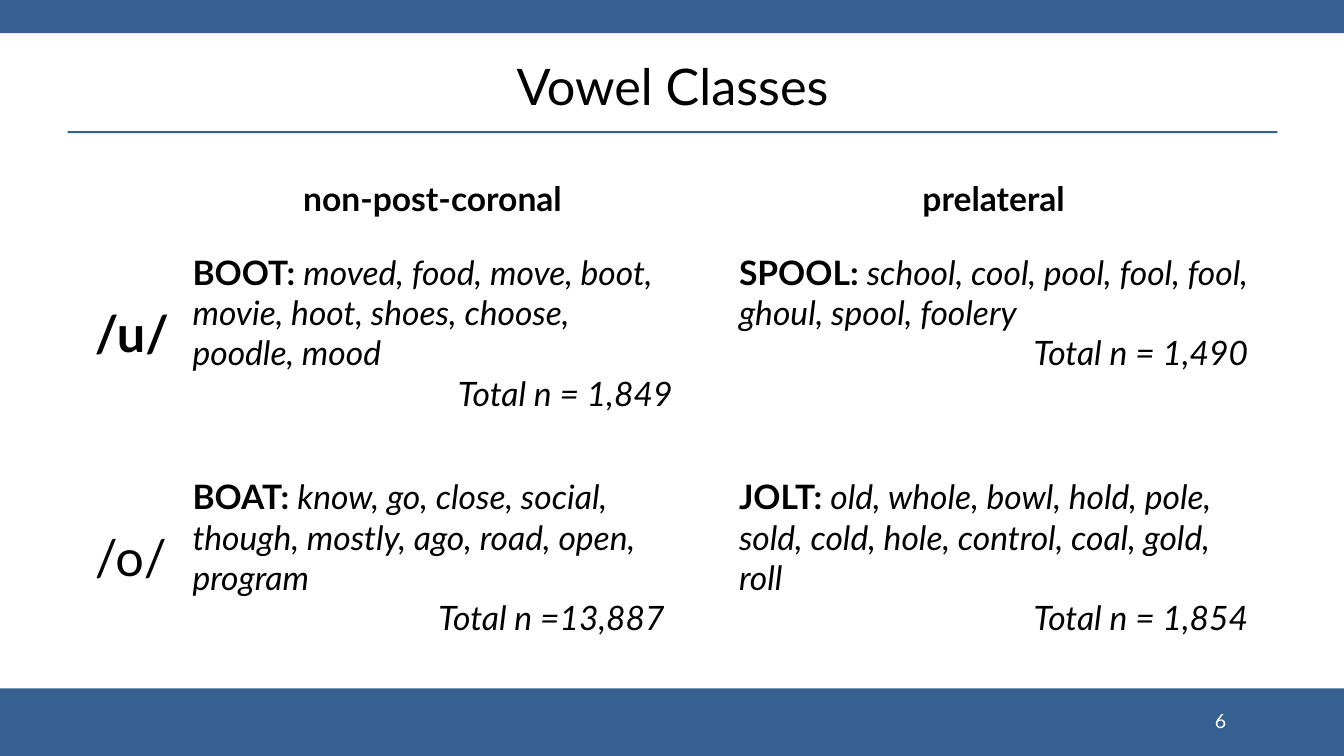
from dataclasses import dataclass

from pptx import Presentation
from pptx.dml.color import RGBColor
from pptx.enum.shapes import MSO_SHAPE as Shape
from pptx.enum.text import MSO_ANCHOR as Anchor, PP_ALIGN as Align
from pptx.util import Inches, Pt

BLUE = RGBColor(0x37, 0x60, 0x92)
BLACK = RGBColor(0, 0, 0)
WHITE = RGBColor(0xFF, 0xFF, 0xFF)
FONT = "Lato"


@dataclass(frozen=True)
class Band:
    left: float
    top: float
    width: float
    height: float


@dataclass(frozen=True)
class VowelClass:
    row: int
    column: int
    name: str
    words: str
    total: str


BANDS = [
    Band(0, 6.83, 13.33, 0.67),
    Band(0, 0, 13.33, 0.33),
    Band(0.67, 1.3, 12, 0.02),
]
COLUMN_WIDTHS = [0.97, 4.96, 0.46, 5.25]
ROW_HEIGHTS = [0.96, 1.34, 0.53, 1.33]
HEADINGS = {1: "non-post-coronal", 3: "prelateral"}
VOWELS = {1: "/u/", 3: "/o/"}
CLASSES = [
    VowelClass(1, 1, "BOOT: ",
               "moved, food, move, boot, movie, hoot, shoes, choose, poodle, mood",
               "Total n = 1,849"),
    VowelClass(1, 3, "SPOOL: ",
               "school, cool, pool, fool, fool, ghoul, spool, foolery",
               "Total n = 1,490"),
    VowelClass(3, 1, "BOAT: ",
               "know, go, close, social, though, mostly, ago, road, open, program",
               "Total n =13,887 "),
    VowelClass(3, 3, "JOLT: ",
               "old, whole, bowl, hold, pole, sold, cold, hole, control, coal, gold, roll",
               "Total n = 1,854"),
]


def add_text(para, text: str, *, size: float = 24, color: RGBColor = BLACK,
             bold: bool = False, italic: bool = False, align=Align.LEFT) -> None:
    para.alignment = align
    span = para.add_run()
    span.text = text
    font = span.font
    font.name, font.size, font.bold, font.italic = FONT, Pt(size), bold, italic
    font.color.rgb = color


def add_band(page, band: Band) -> None:
    box = page.shapes.add_shape(
        Shape.RECTANGLE, Inches(band.left), Inches(band.top),
        Inches(band.width), Inches(band.height))
    box.shadow.inherit = False
    box.fill.solid()
    box.fill.fore_color.rgb = BLUE
    box.line.fill.background()


def add_title(page, text: str) -> None:
    title = page.shapes.title
    title.left, title.top = Inches(0.67), Inches(0.4)
    title.width, title.height = Inches(12), Inches(0.9)
    title.text_frame.vertical_anchor = Anchor.MIDDLE
    add_text(title.text_frame.paragraphs[0], text, size=36, align=Align.CENTER)


def add_page_number(page, number: str) -> None:
    box = page.shapes.add_textbox(
        Inches(11.95), Inches(6.95), Inches(0.71), Inches(0.4))
    box.text_frame.word_wrap = True
    box.text_frame.vertical_anchor = Anchor.MIDDLE
    add_text(box.text_frame.paragraphs[0], number, size=14, color=WHITE)


def add_vowel_table(page) -> None:
    table = page.shapes.add_table(
        len(ROW_HEIGHTS), len(COLUMN_WIDTHS), Inches(0.84), Inches(1.49),
        Inches(sum(COLUMN_WIDTHS)), Inches(sum(ROW_HEIGHTS))).table
    table.first_row = table.horz_banding = False
    for column, width in zip(table.columns, COLUMN_WIDTHS):
        column.width = Inches(width)
    for row, height in zip(table.rows, ROW_HEIGHTS):
        row.height = Inches(height)
    for cell in table.iter_cells():
        cell.fill.background()

    for column, heading in HEADINGS.items():
        cell = table.cell(0, column)
        cell.vertical_anchor = Anchor.MIDDLE
        add_text(cell.text_frame.paragraphs[0], heading, bold=True, align=Align.CENTER)
    for row, vowel in VOWELS.items():
        cell = table.cell(row, 0)
        cell.vertical_anchor = Anchor.MIDDLE
        add_text(cell.text_frame.paragraphs[0], vowel, size=36, bold=vowel == "/u/")
    for group in CLASSES:
        frame = table.cell(group.row, group.column).text_frame
        para = frame.paragraphs[0]
        add_text(para, group.name, bold=True)
        add_text(para, group.words, italic=True)
        add_text(frame.add_paragraph(), group.total, italic=True, align=Align.RIGHT)


def main() -> None:
    deck = Presentation()
    deck.slide_width, deck.slide_height = Inches(13.33), Inches(7.5)
    page = deck.slides.add_slide(deck.slide_layouts[5])
    for band in BANDS:
        add_band(page, band)
    add_page_number(page, "6")
    add_vowel_table(page)
    add_title(page, "Vowel Classes")
    deck.save("out.pptx")


if __name__ == "__main__":
    main()
